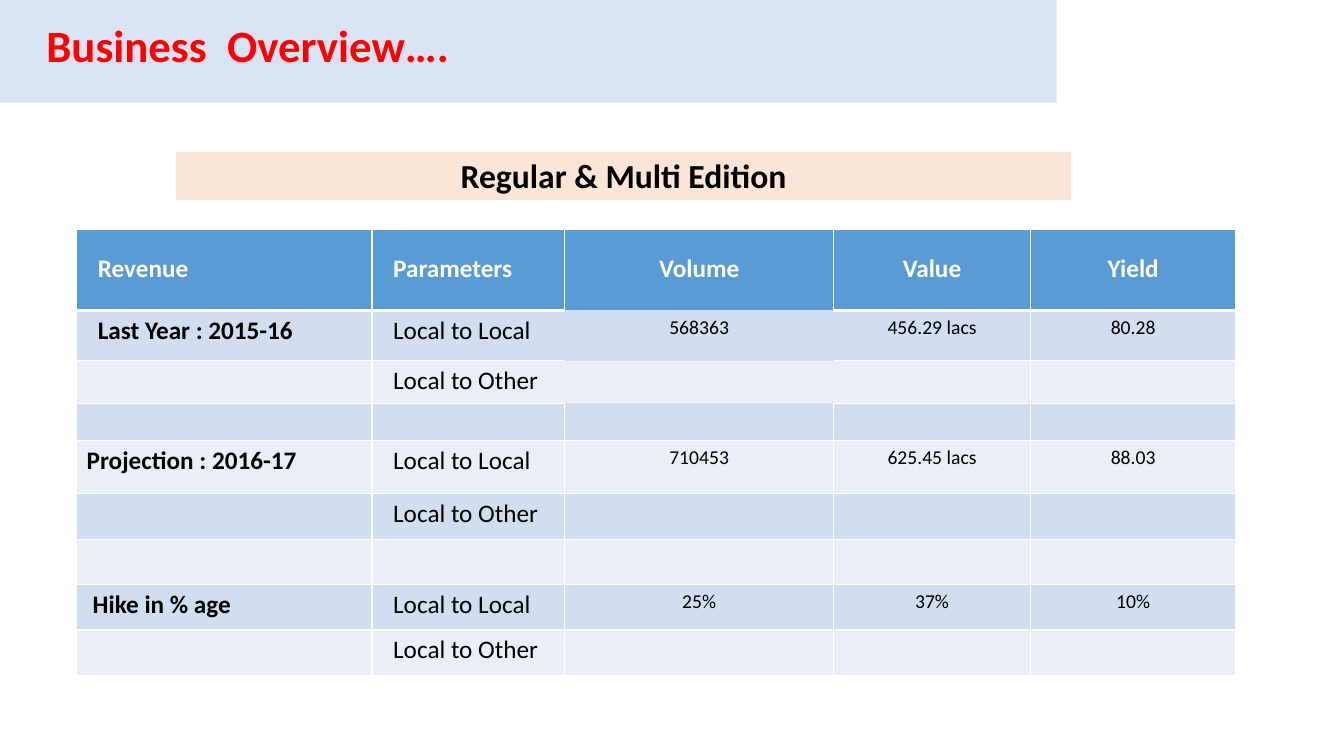
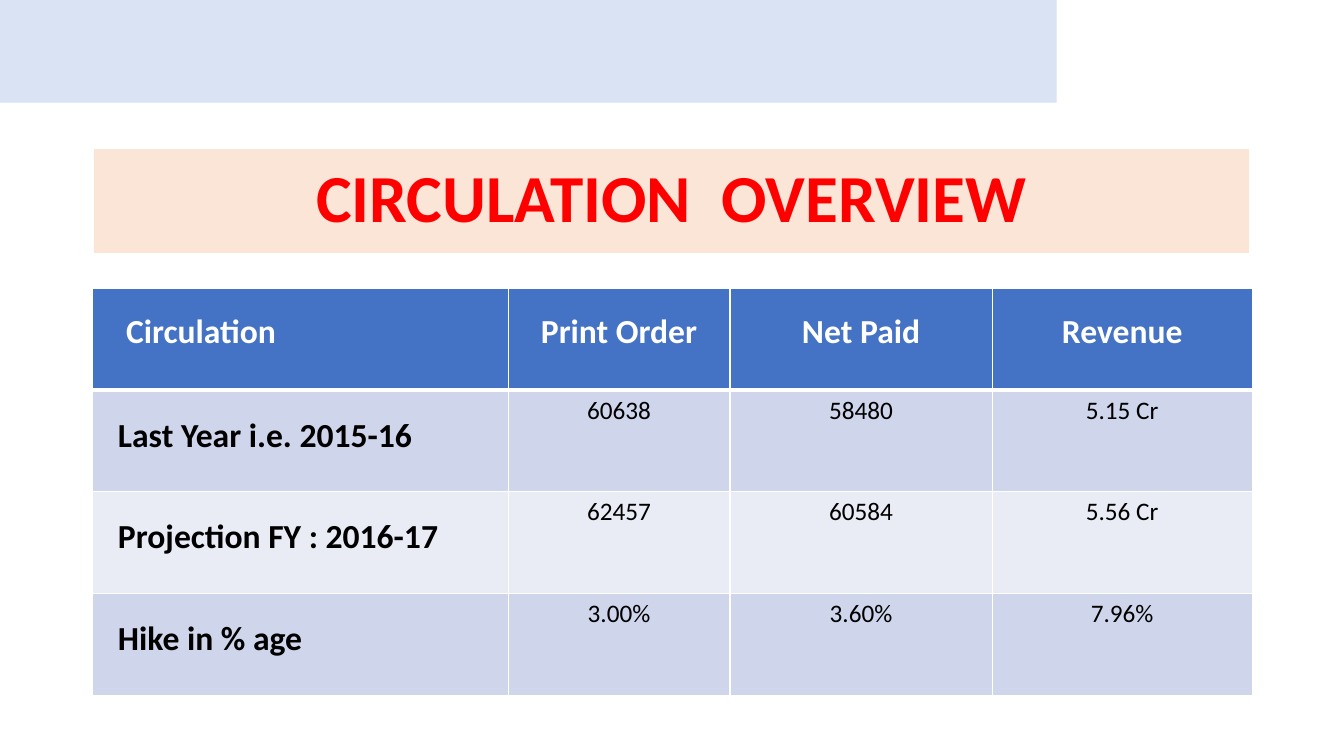
"""Build the business and circulation overview slides."""
from dataclasses import dataclass, field

from lxml.etree import SubElement
from pptx import Presentation
from pptx.dml.color import RGBColor
from pptx.enum.shapes import MSO_SHAPE
from pptx.enum.text import MSO_ANCHOR, MSO_AUTO_SIZE, PP_ALIGN
from pptx.oxml.ns import qn
from pptx.slide import Slide
from pptx.table import _Cell
from pptx.text.text import TextFrame
from pptx.util import Inches, Pt


@dataclass(frozen=True)
class Theme:
    """Colours, font and type sizes shared by the slides."""
    font: str = "Calibri"
    white: str = "FFFFFF"
    black: str = "000000"
    red: str = "FF0000"
    band: str = "DAE3F3"
    banner: str = "FBE5D6"
    business: tuple[str, str, str] = ("5B9BD5", "D2DEEF", "EAEFF7")
    circulation: tuple[str, str, str] = ("4472C4", "CFD5EA", "E9EBF5")
    display: int = 48
    title: int = 32
    large: int = 24
    medium: int = 18
    small: int = 14


THEME = Theme()
SIDES = {"L": (0, -1), "R": (0, 1), "T": (-1, 0), "B": (1, 0)}


@dataclass(frozen=True)
class Box:
    """A rectangle in inches."""
    left: float
    top: float
    width: float
    height: float


@dataclass(frozen=True)
class Entry:
    """A table cell's text, centred unless it has an inset."""
    text: str = ""
    size: int = THEME.small
    bold: bool = False
    color: str = THEME.black
    inset: float | None = None
    top: float = 0.05


@dataclass(frozen=True)
class Grid:
    """A table's place, measures, fills and entries."""
    left: float
    top: float
    columns: list[float]
    rows: list[float]
    fills: tuple[str, ...]
    entries: list[list[Entry]]
    open_cells: set[tuple[int, int]] = field(default_factory=set)


def write_text(frame: TextFrame, text: str, *, size: int, color: str = THEME.black,
               bold: bool = False, align: PP_ALIGN = PP_ALIGN.LEFT,
               spacing: float = 1.0) -> None:
    """Write one formatted paragraph."""
    paragraph = frame.paragraphs[0]
    paragraph.alignment = align
    paragraph.line_spacing = spacing
    if not text:
        SubElement(paragraph._p, qn("a:endParaRPr"), sz=str(size * 100))
        return
    run = paragraph.add_run()
    run.text = text
    run.font.name = THEME.font
    run.font.size = Pt(size)
    run.font.bold = bold
    run.font.color.rgb = RGBColor.from_string(color)


def set_border(cell: _Cell, side: str, width: float) -> None:
    """Draw one cell edge in white, or leave it open at width zero."""
    properties = cell._tc.get_or_add_tcPr()
    line = SubElement(properties, qn(f"a:ln{side}"), w=str(Pt(width)))
    if width:
        fill = SubElement(line, qn("a:solidFill"))
        SubElement(fill, qn("a:srgbClr"), val=THEME.white)
    else:
        SubElement(line, qn("a:noFill"))


def border_width(grid: Grid, row: int, column: int, side: str) -> float:
    """Find the width of an edge: heavy below the header, none at open cells."""
    row_step, column_step = SIDES[side]
    neighbour = (row + row_step, column + column_step)
    if grid.open_cells & {(row, column), neighbour}:
        return 0
    under_header = (row, side) in {(0, "B"), (1, "T")}
    return 3 if under_header else 1


def add_grid(slide: Slide, grid: Grid) -> None:
    """Add a table with a header row and banded body rows."""
    table = slide.shapes.add_table(
        len(grid.rows), len(grid.columns), Inches(grid.left), Inches(grid.top),
        Inches(sum(grid.columns)), Inches(sum(grid.rows))).table
    table.horz_banding = False
    for column, width in zip(table.columns, grid.columns):
        column.width = Inches(width)
    for row, height in zip(table.rows, grid.rows):
        row.height = Inches(height)
    for row, entries in enumerate(grid.entries):
        fill = grid.fills[0] if row == 0 else grid.fills[2 - row % 2]
        for column, entry in enumerate(entries):
            cell = table.cell(row, column)
            cell.margin_top = Inches(entry.top)
            if entry.inset is not None:
                cell.margin_left = Inches(entry.inset)
            align = PP_ALIGN.CENTER if entry.inset is None else PP_ALIGN.LEFT
            write_text(cell.text_frame, entry.text, size=entry.size,
                       color=entry.color, bold=entry.bold, align=align)
            for side in SIDES:
                set_border(cell, side, border_width(grid, row, column, side))
            cell.fill.solid()
            cell.fill.fore_color.rgb = RGBColor.from_string(fill)


def add_band(slide: Slide) -> None:
    """Add the pale band at the top, behind everything else."""
    band = slide.shapes.add_shape(MSO_SHAPE.RECTANGLE, Inches(-0.01), Inches(-0.01),
                                  Inches(10.49), Inches(1.03))
    band.shadow.inherit = False
    band.fill.solid()
    band.fill.fore_color.rgb = RGBColor.from_string(THEME.band)
    band.line.fill.background()
    slide.shapes._spTree.insert(2, band._element)


def start_slide(presentation: Presentation, title: str, box: Box, *, size: int,
                anchor: MSO_ANCHOR, align: PP_ALIGN, spacing: float = 1.0,
                fill: str | None = None) -> Slide:
    """Add a slide with the band and its formatted title."""
    slide = presentation.slides.add_slide(presentation.slide_layouts[5])
    shape = slide.shapes.title
    shape.left, shape.top = Inches(box.left), Inches(box.top)
    shape.width, shape.height = Inches(box.width), Inches(box.height)
    frame = shape.text_frame
    frame.word_wrap = True
    frame.auto_size = MSO_AUTO_SIZE.NONE
    frame.vertical_anchor = anchor
    write_text(frame, title, size=size, color=THEME.red, bold=True,
               align=align, spacing=spacing)
    if fill:
        shape.fill.solid()
        shape.fill.fore_color.rgb = RGBColor.from_string(fill)
    add_band(slide)
    return slide


def heading(text: str, size: int, inset: float | None = None) -> Entry:
    """Make a header entry."""
    return Entry(text, size, True, THEME.white, inset, 0.23)


def business_rows() -> list[list[Entry]]:
    """Make the revenue table's entries."""
    rows = [[heading("Revenue", THEME.medium, 0.21),
             heading("Parameters", THEME.medium, 0.21),
             *(heading(text, THEME.medium) for text in ("Volume", "Value", "Yield"))]]
    periods = [
        ("Last Year : 2015-16", 0.21, ("568363", "456.29 lacs", "80.28")),
        ("Projection : 2016-17", 0.1, ("710453", "625.45 lacs", "88.03")),
        ("Hike in % age", 0.16, ("25%", "37%", "10%")),
    ]
    for label, inset, values in periods:
        if len(rows) > 1:
            rows.append([Entry()] * 5)
        local, other = (Entry(text, THEME.medium, inset=0.21)
                        for text in ("Local to Local", "Local to Other"))
        rows.append([Entry(label, THEME.medium, True, inset=inset), local,
                     *(Entry(value) for value in values)])
        rows.append([Entry(), other] + [Entry()] * 3)
    return rows


def circulation_rows() -> list[list[Entry]]:
    """Make the circulation table's entries."""
    rows = [[heading("Circulation", THEME.large, 0.33),
             *(heading(text, THEME.large)
               for text in ("Print Order", "Net Paid", "Revenue"))]]
    periods = [
        ("Last Year i.e. 2015-16", ("60638", "58480", "5.15 Cr")),
        ("Projection FY : 2016-17", ("62457", "60584", "5.56 Cr")),
        ("Hike in % age", ("3.00%", "3.60%", "7.96%")),
    ]
    for label, values in periods:
        rows.append([Entry(label, THEME.large, True, inset=0.25, top=0.25),
                     *(Entry(value, THEME.medium) for value in values)])
    return rows


def build_business(presentation: Presentation) -> None:
    """Build the business overview slide."""
    slide = start_slide(presentation, "Business  Overview….", Box(0.36, 0.13, 10.06, 0.64),
                        size=THEME.title, anchor=MSO_ANCHOR.TOP, align=PP_ALIGN.LEFT)
    add_grid(slide, Grid(0.76, 2.28, [2.93, 1.91, 2.67, 1.95, 2.04],
                         [0.8, 0.5, 0.42, 0.37, 0.53] + [0.45] * 4,
                         THEME.business, business_rows(), {(1, 2), (2, 2)}))
    banner = Entry("Regular & Multi Edition", THEME.large, True)
    add_grid(slide, Grid(1.74, 1.5, [8.89], [0.41], (THEME.banner,), [[banner]]))


def build_circulation(presentation: Presentation) -> None:
    """Build the circulation overview slide."""
    slide = start_slide(presentation, "CIRCULATION  OVERVIEW", Box(0.93, 1.48, 11.46, 1.03),
                        size=THEME.display, anchor=MSO_ANCHOR.MIDDLE,
                        align=PP_ALIGN.CENTER, spacing=0.9, fill=THEME.banner)
    add_grid(slide, Grid(0.92, 2.86, [4.12, 2.2, 2.6, 2.58], [1.01] * 4,
                         THEME.circulation, circulation_rows()))


def main() -> None:
    """Build and save the presentation."""
    presentation = Presentation()
    presentation.slide_width = Inches(13.33)
    presentation.slide_height = Inches(7.5)
    build_business(presentation)
    build_circulation(presentation)
    presentation.save("out.pptx")


if __name__ == "__main__":
    main()
